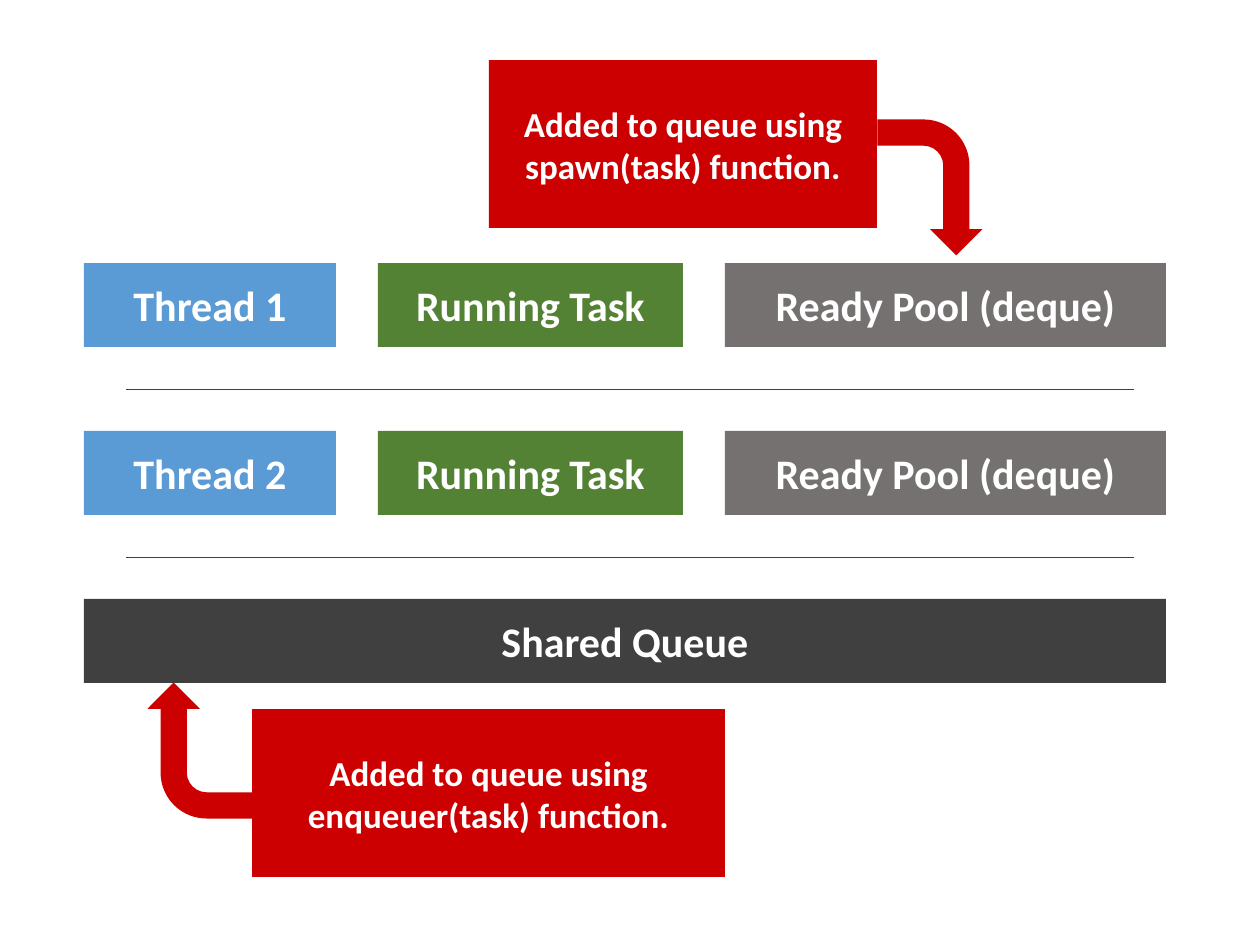
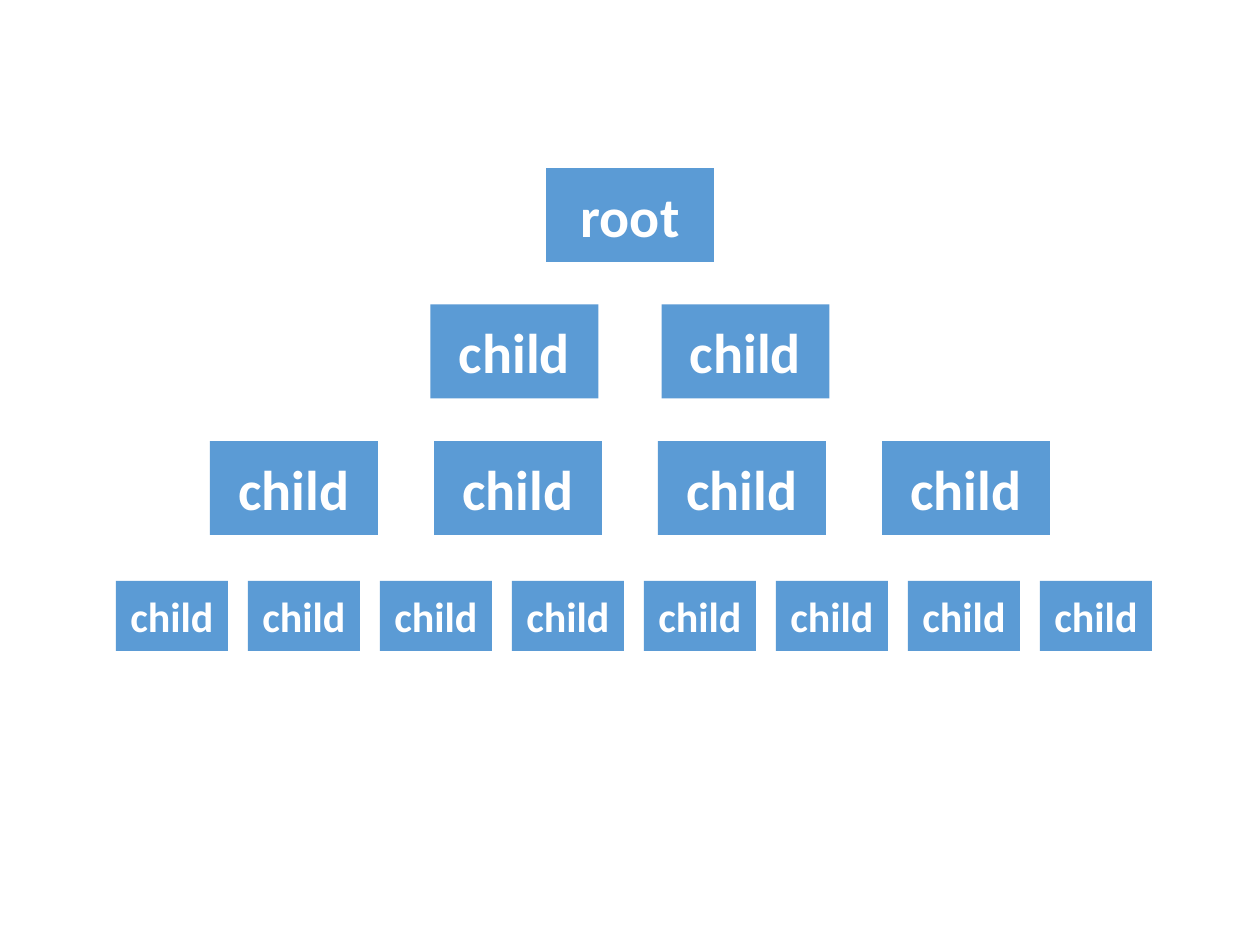
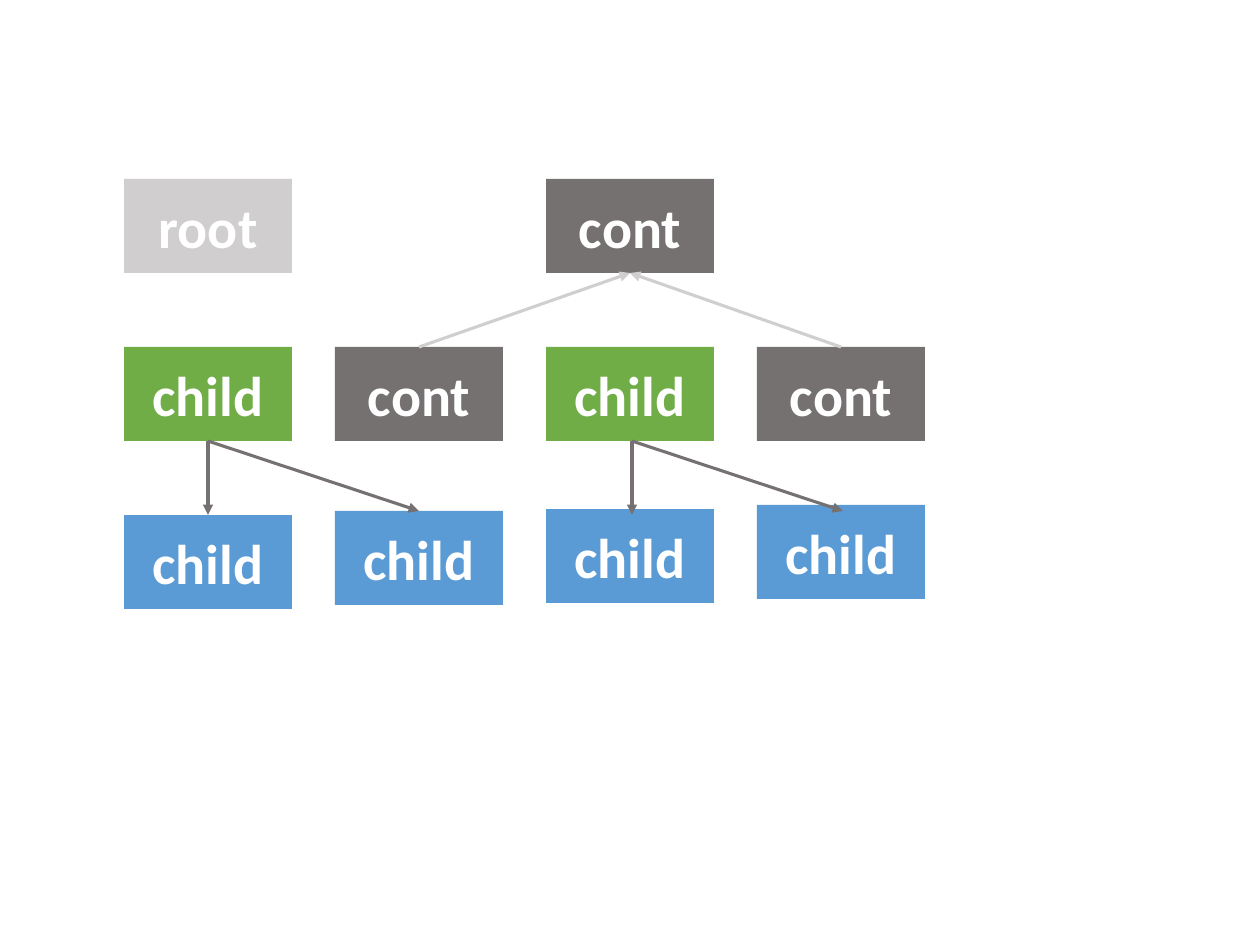
from collections import namedtuple

from lxml.etree import SubElement
from pptx import Presentation
from pptx.dml.color import RGBColor
from pptx.enum.shapes import MSO_CONNECTOR as Connector, MSO_SHAPE as Preset
from pptx.enum.text import MSO_ANCHOR as Anchor, PP_ALIGN as Align
from pptx.oxml.ns import qn
from pptx.util import Emu, Inches, Pt

PX_PER_INCH = 126
SLIDE_WIDTH, SLIDE_HEIGHT = 1260, 945

WHITE = RGBColor(0xFF, 0xFF, 0xFF)
BLUE = RGBColor(0x5B, 0x9B, 0xD5)
DARK_GREEN = RGBColor(0x54, 0x82, 0x35)
GREEN = RGBColor(0x70, 0xAD, 0x47)
GRAY = RGBColor(0x76, 0x71, 0x71)
PALE_GRAY = RGBColor(0xD0, 0xCE, 0xCE)
CHARCOAL = RGBColor(0x40, 0x40, 0x40)
RED = RGBColor(0xCC, 0x00, 0x00)

LABEL_FORMAT = {"name": "Calibri", "bold": True}
SMALL, MEDIUM, LARGE = 20, 24, 32

Box = namedtuple("Box", "left top width height")
NODE_WIDTH, NODE_HEIGHT = 168, 94


def px(length):
    """Convert pixels to EMU."""
    return Emu(round(length * Inches(1) / PX_PER_INCH))


def add_filled(slide, preset, box, color):
    """Add a flat preset shape without outline."""
    shape = slide.shapes.add_shape(preset, *map(px, box))
    shape.shadow.inherit = False
    shape.fill.solid()
    shape.fill.fore_color.rgb = color
    shape.line.fill.background()
    return shape


def add_label(slide, box, text, color, size):
    """Add a filled rectangle with centred white text."""
    shape = add_filled(slide, Preset.RECTANGLE, box, color)
    frame = shape.text_frame
    frame.word_wrap = True
    frame.vertical_anchor = Anchor.MIDDLE
    paragraph = frame.paragraphs[0]
    paragraph.alignment = Align.CENTER
    run = paragraph.add_run()
    run.text = text
    for name, value in {**LABEL_FORMAT, "size": Pt(size)}.items():
        setattr(run.font, name, value)
    run.font.color.rgb = WHITE


def add_line(slide, start, end, color, width, arrow=False):
    """Add a straight line, with a triangle at its end if wanted."""
    line = slide.shapes.add_connector(Connector.STRAIGHT, *map(px, (*start, *end)))
    line.line.color.rgb = color
    line.line.width = Pt(width)
    if arrow:
        SubElement(line.line._get_or_add_ln(), qn("a:tailEnd"), type="triangle")
    SubElement(line._element.spPr, qn("a:effectLst"))


def add_thread_rows(slide, box):
    """Add the two thread rows, their dividers and the shared queue."""
    bar_height, gap, pitch, inset = 84, 42, 168, 42
    for row in range(2):
        top = box.top + row * pitch
        left = box.left
        cells = ((f"Thread {row + 1}", 252, BLUE),
                 ("Running Task", 305, DARK_GREEN),
                 ("Ready Pool (deque)", 441, GRAY))
        for text, width, color in cells:
            add_label(slide, Box(left, top, width, bar_height), text, color, MEDIUM)
            left += width + gap
        divider = top + bar_height + gap
        add_line(slide, (box.left + inset, divider),
                 (box.left + inset + 1008, divider), CHARCOAL, 0.5)
    queue = Box(box.left, box.top + 2 * pitch, box.width, bar_height)
    add_label(slide, queue, "Shared Queue", CHARCOAL, MEDIUM)


def add_callout(slide, box, text, arrow_offset, rotation):
    """Add a red note and the bent arrow that leaves it."""
    add_label(slide, box, text, RED, SMALL)
    offset_x, offset_y = arrow_offset
    arrow_box = Box(box.left + offset_x, box.top + offset_y, 136, 105)
    add_filled(slide, Preset.BENT_ARROW, arrow_box, RED).rotation = rotation


def build_queue_slide(slide):
    """Show how tasks reach the thread pools and the shared queue."""
    add_thread_rows(slide, Box(84, 263, 1082, 420))
    add_callout(slide, Box(489, 60, 388, 168),
                "Added to queue using spawn(task) function.", (373, 75), 90)
    add_callout(slide, Box(252, 709, 473, 168),
                "Added to queue using enqueuer(task) function.", (-120, -11), 270)


def add_tree_row(slide, center, top, count, gap, node_size, text, font_size):
    """Add equally spaced nodes around a centre line."""
    width, height = node_size
    first = center - (count * width + (count - 1) * gap) / 2
    for index in range(count):
        box = Box(first + index * (width + gap), top, width, height)
        add_label(slide, box, text, BLUE, font_size)


def build_tree_slide(slide):
    """Show the binary tree of tasks."""
    node_size = NODE_WIDTH, NODE_HEIGHT
    center, top, pitch = SLIDE_WIDTH / 2, 168, 136.5
    rows = ((1, 0, "root"), (2, 63, "child"), (4, 56, "child"))
    for level, (count, gap, text) in enumerate(rows):
        add_tree_row(slide, center, top + level * pitch, count, gap,
                     node_size, text, LARGE)
    add_tree_row(slide, center + 4, 581, 8, 20, (112, 70), "child", MEDIUM)


def add_continuation_tree(slide, box):
    """Add the task grid with spawn and continuation arrows."""
    column_pitch, row_pitch, middle = 211, 168, NODE_WIDTH / 2
    lefts = [box.left + column * column_pitch for column in range(4)]
    tops = [box.top + row * row_pitch for row in range(3)]
    root, child, cont = ("root", PALE_GRAY), ("child", GREEN), ("cont", GRAY)
    nodes = [(0, tops[0], *root), (2, tops[0], *cont)]
    nodes += [(column, tops[1], *(cont if column % 2 else child))
              for column in range(4)]
    nodes += [(column, tops[2] - lift, "child", BLUE)
              for column, lift in enumerate((0, 4, 6, 10))]
    for column, top, text, color in nodes:
        node = Box(lefts[column], top, NODE_WIDTH, NODE_HEIGHT)
        add_label(slide, node, text, color, LARGE)

    for column, shift in ((0, 0), (2, 2)):
        x = lefts[column] + middle + shift
        start = x, tops[1] + NODE_HEIGHT
        for end in ((x, tops[2]), (x + column_pitch, tops[2] - 4)):
            add_line(slide, start, end, GRAY, 1.75, arrow=True)
    target = lefts[2] + middle, tops[0] + NODE_HEIGHT
    for column in (3, 1):
        add_line(slide, (lefts[column] + middle, tops[1]), target,
                 PALE_GRAY, 1.75, arrow=True)


def build_continuation_slide(slide):
    """Show the tree of tasks with continuations."""
    add_continuation_tree(slide, Box(124, 179, 801, 430))


def main():
    """Build and save the presentation."""
    presentation = Presentation()
    presentation.slide_width = px(SLIDE_WIDTH)
    presentation.slide_height = px(SLIDE_HEIGHT)
    blank = presentation.slide_layouts[6]
    for build in (build_queue_slide, build_tree_slide, build_continuation_slide):
        build(presentation.slides.add_slide(blank))
    presentation.save("out.pptx")


if __name__ == "__main__":
    main()
